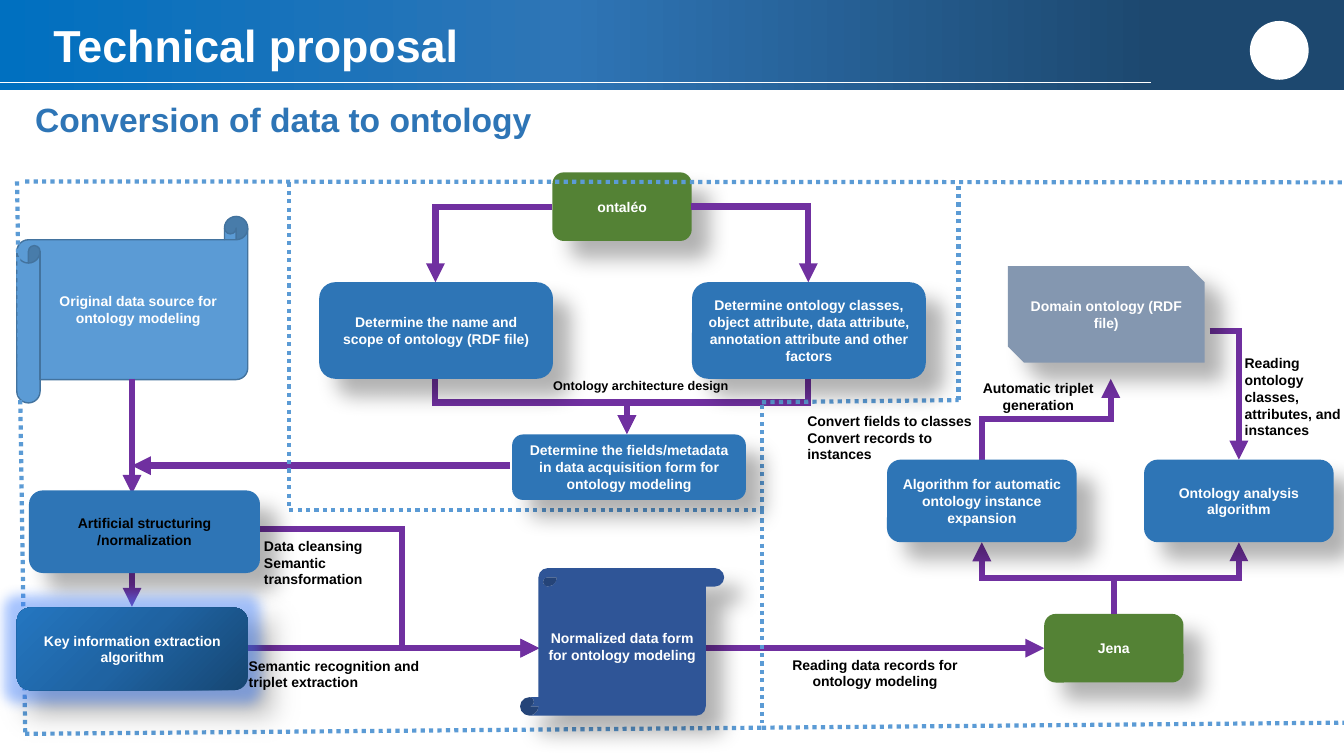
from lxml.etree import SubElement
from pptx import Presentation
from pptx.dml.color import RGBColor
from pptx.enum.dml import MSO_LINE
from pptx.enum.shapes import MSO_CONNECTOR, MSO_SHAPE
from pptx.enum.text import MSO_ANCHOR, PP_ALIGN
from pptx.oxml.ns import qn
from pptx.util import Pt

WHITE, BLACK, BLUE, GREEN = "FFFFFF", "000000", "2E75B6", "548235"
PURPLE, SKY = "7030A0", "5B9BD5"
ROUND = MSO_SHAPE.ROUNDED_RECTANGLE
FONT = {"name": "Arial", "bold": True}
LEFT, CENTER = PP_ALIGN.LEFT, PP_ALIGN.CENTER

BANNER_STOPS = [(14, "1D486F"), (58, "2E75B6"), (100, "0070C0")]
KEY_STOPS = [(0, "164672"), (50, "1F63A2"), (100, "2476C0")]

TOOL, STEP, SERVICE, PROCESS = (99.5, 49), (165, 59), (135.4, 59), (167, 69)

BACK_BOXES = [
    ("ontaléo", ROUND, (394.6, 123.1), TOOL, GREEN, WHITE),
    ("Original data source for ontology modeling", MSO_SHAPE.HORIZONTAL_SCROLL,
     (12, 154.6), (165, 133.2), SKY, WHITE),
    ("Jena", ROUND, (745.9, 438.5), TOOL, GREEN, WHITE),
]
FRONT_BOXES = [
    ("Artificial structuring /normalization", ROUND, (20.7, 350.3), STEP, BLUE, BLACK),
    ("Ontology analysis algorithm", ROUND, (817.2, 328.3), SERVICE, BLUE, WHITE),
    ("Domain ontology (RDF file)", MSO_SHAPE.SNIP_2_DIAG_RECTANGLE,
     (720, 190.1), (140.4, 69), "8497B0", WHITE),
    ("Algorithm for automatic ontology instance expansion", ROUND,
     (633.6, 328.3), SERVICE, BLUE, WHITE),
    ("Determine the fields/metadata in data acquisition form for ontology modeling",
     ROUND, (365.8, 310.3), (167, 46.8), BLUE, WHITE),
    ("Normalized data form for ontology modeling", MSO_SHAPE.VERTICAL_SCROLL,
     (371.5, 405.8), (145.8, 105.4), "2F5597", WHITE),
    ("Determine ontology classes, object attribute, data attribute, "
     "annotation attribute and other factors", ROUND, (494.3, 201.6), PROCESS, BLUE, WHITE),
    ("Key information extraction algorithm", ROUND, (12, 434), STEP, KEY_STOPS, WHITE),
    ("Determine the name and scope of ontology (RDF file)", ROUND,
     (228, 201.6), PROCESS, BLUE, WHITE),
]

STRAIGHT_ARROWS = [
    ((94.3, 270.7), (94.3, 352.8)),
    ((94.3, 407.5), (94.3, 433.4)),
    ((176.4, 463), (385.2, 463)),
    ((364.3, 332.6), (94.3, 332.6)),
    ((504, 463), (745.9, 463)),
]
BENT_ARROWS = [
    ((176.4, 378), (385.2, 463), 0, "", 0.53),
    ((394.6, 147.6), (311, 201.6), 180, "V", 1),
    ((493.9, 147.6), (577.4, 201.6), 0, "", 1),
    ((311, 270.7), (447.8, 310), 270, "H", 0.43),
    ((577.4, 270.7), (447.8, 310), 90, "", 0.43),
    ((795.6, 438.5), (701.3, 387.4), 270, "V", 0.5),
    ((701.3, 328.3), (793.4, 270.7), 90, "HV", 0.5),
    ((864, 236.2), (884.9, 328.3), 0, "", None),
    ((785.5, 412.9), (884.9, 387.4), 0, "V", None),
]
DOTTED_ROUTES = [
    [(18, 129.6), (960, 130.3)],
    [(206.6, 130.3), (206.6, 364.3), (544.3, 364.3), (544.3, 516.2)],
    [(12.2, 129.6), (18, 524.2), (544.3, 519.8), (960, 516.2)],
    [(544.3, 364.3), (544.3, 287.3), (684.7, 285.8), (684.7, 130.3)],
]

CAPTIONS = [
    ("Ontology architecture design", (388.1, 266.4), (155.5, 18), 9, BLACK, LEFT, 7.2),
    ("Automatic triplet generation", (687.6, 267.8), (108, 31.7), 10, BLACK, CENTER, 7.2),
    ("Convert fields to classes\nConvert records to instances",
     (576.7, 290.9), (119.5, 43.9), 10, BLACK, LEFT, 0),
    ("Reading data records for ontology modeling",
     (544.3, 465.1), (161.3, 31.7), 10, BLACK, CENTER, 7.2),
    ("Data cleansing\nSemantic transformation",
     (188.6, 380.2), (93.6, 43.9), 10, BLACK, LEFT, 0),
    ("Reading ontology classes, attributes, and instances",
     (882, 249.8), (91.4, 67.7), 10, BLACK, LEFT, 7.2),
    ("Semantic recognition and triplet extraction",
     (170.6, 465.8), (141.1, 31.7), 10, BLACK, LEFT, 7.2),
    ("Conversion of data to ontology", (18, 67), (378.7, 36), 24, BLUE, LEFT, 7.2),
]
HEADING = ("Technical proposal", (31, 17.3), (807.8, 34.6), 32, WHITE, LEFT, 7.2)


def rgb(code):
    return RGBColor.from_string(code)


def node(parent, tag, **values):
    return SubElement(parent, qn(tag), {key: str(value) for key, value in values.items()})


def tint(parent, code, alpha):
    node(node(parent, "a:srgbClr", val=code), "a:alpha", val=alpha * 1000)


def paint(shape, fill, angle=225):
    if isinstance(fill, str):
        shape.fill.solid()
        shape.fill.fore_color.rgb = rgb(fill)
        return
    shape.fill.background()
    blank = shape._element.spPr.find(qn("a:noFill"))
    gradient = node(shape._element.spPr, "a:gradFill", rotWithShape=1)
    blank.getparent().replace(blank, gradient)
    stops = node(gradient, "a:gsLst")
    for position, code in fill:
        node(node(stops, "a:gs", pos=position * 1000), "a:srgbClr", val=code)
    node(gradient, "a:lin", ang=angle * 60000, scaled=0)


def write(shape, text, size, color, align, anchor, side=7.2):
    frame = shape.text_frame
    layout = {"text": text, "word_wrap": True, "vertical_anchor": anchor,
              "margin_left": Pt(side), "margin_right": Pt(side)}
    for key, value in layout.items():
        setattr(frame, key, value)
    for paragraph in frame.paragraphs:
        paragraph.alignment = align
        for key, value in {**FONT, "size": Pt(size)}.items():
            setattr(paragraph.font, key, value)
        paragraph.font.color.rgb = rgb(color)


def add_plain(kind, at, size, fill, angle=225):
    shape = shapes.add_shape(kind, *map(Pt, at + size))
    shape.shadow.inherit = False
    paint(shape, fill, angle)
    shape.line.fill.background()
    return shape


def add_box(text, kind, at, size, fill, color):
    shape = add_plain(kind, at, size, fill)
    write(shape, text, 10, color, CENTER, MSO_ANCHOR.MIDDLE)
    if kind == MSO_SHAPE.HORIZONTAL_SCROLL:
        shape.line.color.rgb = rgb("43739E")
        shape.line.width = Pt(1)
        return
    effects = shape._element.spPr.find(qn("a:effectLst"))
    if fill is KEY_STOPS:
        tint(node(effects, "a:glow", rad=Pt(18)), "4080FF", 45)
    tint(node(effects, "a:outerShdw", blurRad=Pt(15), dist=Pt(18), dir=45 * 60000,
              algn="tl", rotWithShape=0), BLACK, 30)


def add_caption(text, at, size, points, color, align, side, anchor=MSO_ANCHOR.TOP):
    box = shapes.add_textbox(*map(Pt, at + size))
    write(box, text, points, color, align, anchor, side)
    return box


def add_line(start, end, color, width, kind=MSO_CONNECTOR.STRAIGHT):
    line = shapes.add_connector(kind, *map(Pt, start + end))
    line.line.color.rgb = rgb(color)
    line.line.width = Pt(width)
    node(line._element.spPr, "a:effectLst")
    return line


def add_arrow(start, end, kind=MSO_CONNECTOR.STRAIGHT):
    arrow = add_line(start, end, PURPLE, 4.5, kind)
    outline = arrow._element.spPr.find(qn("a:ln"))
    node(outline, "a:miter", lim=800000)
    node(outline, "a:tailEnd", type="triangle")
    return arrow


def add_bent_arrow(start, end, turn, flips, bend):
    width, height = (abs(b - a) for a, b in zip(start, end))
    middle_x, middle_y = ((a + b) / 2 for a, b in zip(start, end))
    if turn in (90, 270):
        width, height = height, width
    left, top = middle_x - width / 2, middle_y - height / 2
    arrow = add_arrow((left, top), (left + width, top + height), MSO_CONNECTOR.ELBOW)
    frame = arrow._element.spPr.find(qn("a:xfrm"))
    frame.set("rot", str(turn * 60000))
    for flip in flips:
        frame.set("flip" + flip, "1")
    geometry = arrow._element.spPr.find(qn("a:prstGeom"))
    if bend is None:
        geometry.set("prst", "bentConnector2")
    else:
        guides = geometry.find(qn("a:avLst"))
        if guides is None:
            guides = node(geometry, "a:avLst")
        node(guides, "a:gd", name="adj1", fmla=f"val {round(bend * 100000)}")


deck = Presentation()
deck.slide_width, deck.slide_height = Pt(960), Pt(540)
shapes = deck.slides.add_slide(deck.slide_layouts[6]).shapes

add_plain(MSO_SHAPE.RECTANGLE, (0, 0), (960, 64), BANNER_STOPS, 180)
add_line((0, 59), (822, 59), WHITE, 0.5)
add_plain(MSO_SHAPE.OVAL, (892.8, 15), (42, 42), WHITE)
heading = add_caption(*HEADING, MSO_ANCHOR.MIDDLE)
heading.text_frame.paragraphs[0].line_spacing = 0.9

for box in BACK_BOXES:
    add_box(*box)
for ends in STRAIGHT_ARROWS:
    add_arrow(*ends)
for bent in BENT_ARROWS:
    add_bent_arrow(*bent)
for route in DOTTED_ROUTES:
    for start, end in zip(route, route[1:]):
        add_line(start, end, SKY, 3).line.dash_style = MSO_LINE.ROUND_DOT
for box in FRONT_BOXES:
    add_box(*box)
for caption in CAPTIONS:
    add_caption(*caption)

deck.save("out.pptx")
